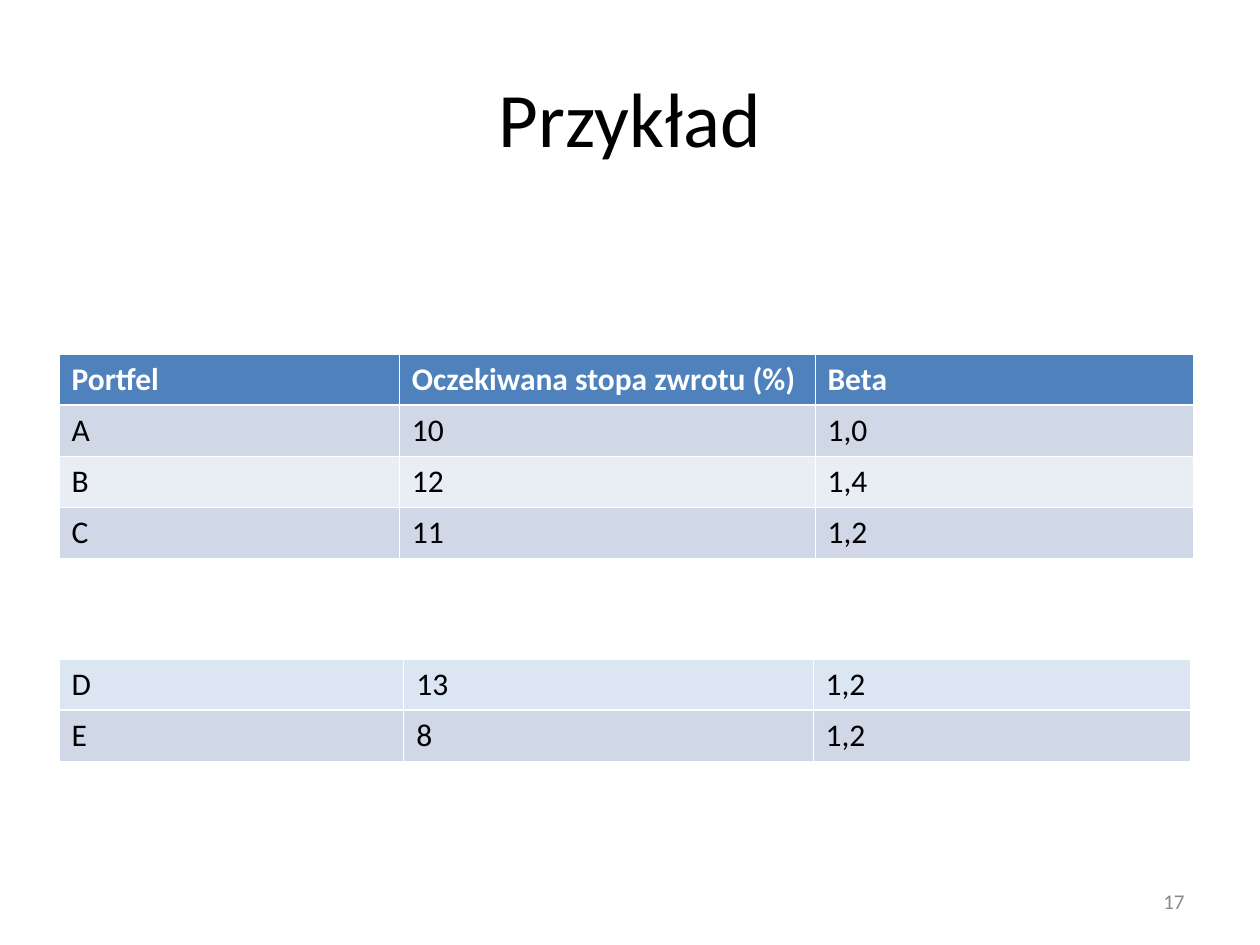
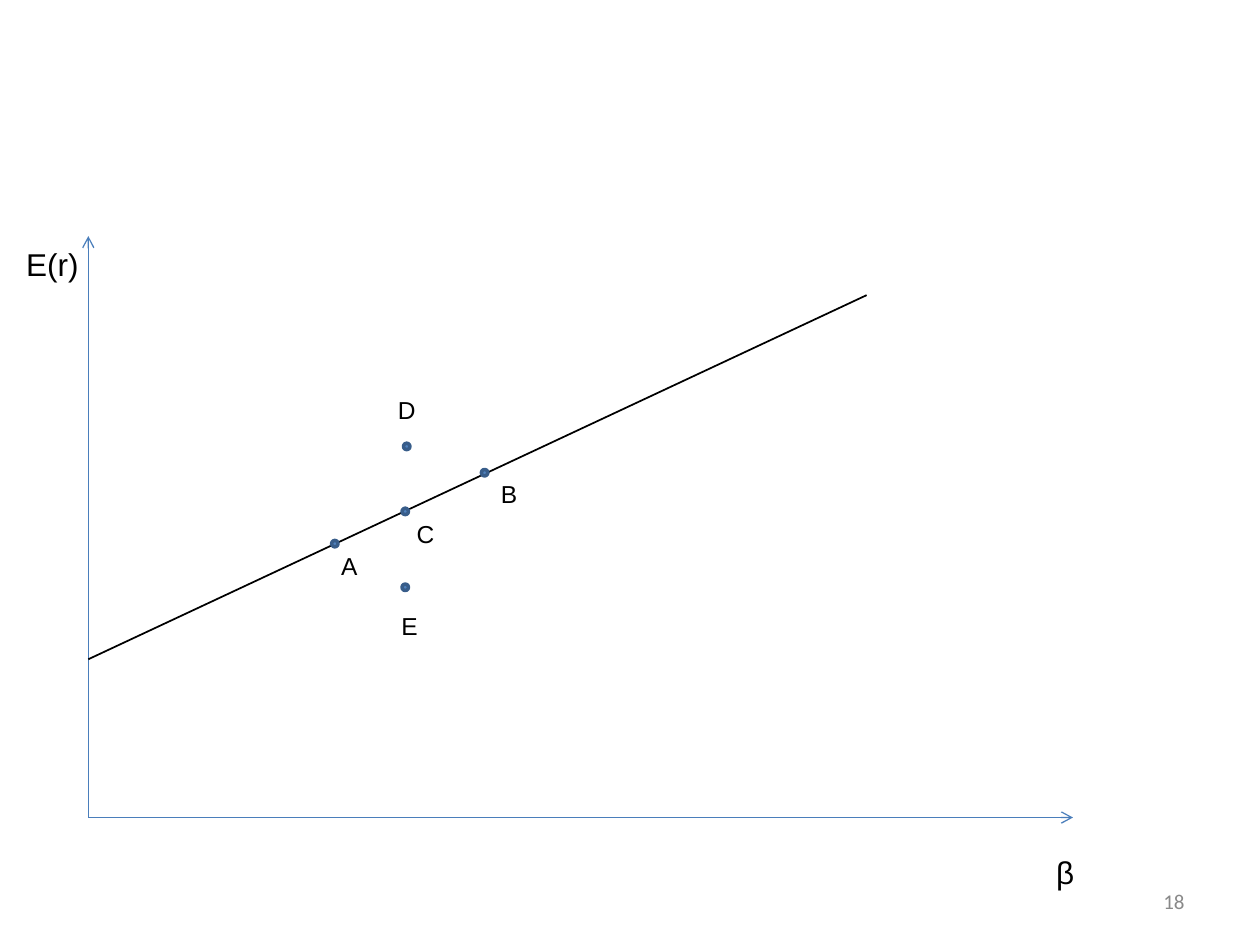
from lxml.etree import SubElement
from pptx import Presentation
from pptx.dml.color import RGBColor
from pptx.enum.shapes import MSO_CONNECTOR, MSO_SHAPE
from pptx.enum.text import MSO_ANCHOR, MSO_AUTO_SIZE, PP_ALIGN
from pptx.oxml.ns import qn
from pptx.util import Cm, Pt

COLOURS = {
    "white": "FFFFFF", "black": "000000", "grey": "898989",
    "header": "4F81BD", "band": "D0D8E8", "light": "E9EDF4", "pale": "DCE6F2",
    "axis": "4A7EBB", "rim": "385D8A",
}
FONTS = {
    "title": {"name": "Calibri", "size": Pt(44), "colour": "black"},
    "number": {"name": "Calibri", "size": Pt(12), "colour": "grey"},
    "header": {"name": "Calibri", "size": Pt(18), "bold": True, "colour": "white"},
    "cell": {"name": "Calibri", "size": Pt(18), "bold": False, "colour": "black"},
    "axis": {"name": "Arial", "size": Pt(18), "colour": "black"},
    "point": {"name": "Arial", "size": Pt(14), "colour": "black"},
}
FIXED = {"word_wrap": True, "auto_size": MSO_AUTO_SIZE.NONE, "vertical_anchor": MSO_ANCHOR.MIDDLE}
LABEL = {"word_wrap": False, "auto_size": MSO_AUTO_SIZE.SHAPE_TO_FIT_TEXT,
         "vertical_anchor": MSO_ANCHOR.TOP}

TABLES = [
    {
        "top": 7.14, "widths": (6.86, 8.38, 7.62),
        "fills": ("header", "band", "light", "band"),
        "rows": [
            ("Portfel", "Oczekiwana stopa zwrotu (%)", "Beta"),
            ("A", "10", "1,0"),
            ("B", "12", "1,4"),
            ("C", "11", "1,2"),
        ],
    },
    {
        "top": 13.29, "widths": (6.95, 8.25, 7.61),
        "fills": ("pale", "band"),
        "rows": [("D", "13", "1,2"), ("E", "8", "1,2")],
    },
]
TABLE_LEFT, ROW_HEIGHT = 1.19, 1.03
THIN, THICK = Pt(0.45), Pt(1.47)

ORIGIN = (1.78, 16.48)
LINES = [
    {"start": ORIGIN, "end": (1.78, 4.76), "colour": "axis", "width": 0.74, "arrow": True},
    {"start": ORIGIN, "end": (21.63, 16.48), "colour": "axis", "width": 0.74, "arrow": True},
    {"start": (1.78, 13.29), "end": (17.47, 5.95), "colour": "black", "width": 0.99, "arrow": False},
]
AXIS_LABELS = [("E(r)", (0.28, 4.81, 1.6, 1.02)), ("β", (21.04, 17.07, 0.86, 1.02))]
POINTS = [
    ("A", (6.75, 10.96), (6.63, 10.98)),
    ("B", (9.77, 9.53), (9.85, 9.53)),
    ("C", (8.17, 10.31), (8.15, 10.34)),
    ("D", (8.2, 9), (7.77, 7.83)),
    ("E", (8.17, 11.84), (7.84, 12.19)),
]
DOT = 0.13
LABEL_SIZE = (0.86, 0.86)


def colour(name):
    return RGBColor.from_string(COLOURS[name])


def write(frame, words, style, align=PP_ALIGN.LEFT):
    para = frame.paragraphs[0]
    para.alignment = align
    span = para.add_run()
    span.text = words
    for key, value in FONTS[style].items():
        if key == "colour":
            span.font.color.rgb = colour(value)
        else:
            setattr(span.font, key, value)


def add_text(page, words, place, style, frame_format, align=PP_ALIGN.LEFT):
    box = page.shapes.add_textbox(*map(Cm, place))
    for key, value in frame_format.items():
        setattr(box.text_frame, key, value)
    write(box.text_frame, words, style, align)


def add_page(deck, number):
    page = deck.slides.add_slide(deck.slide_layouts[6])
    add_text(page, str(number), (18.21, 17.65, 5.92, 1.02), "number", FIXED, PP_ALIGN.RIGHT)
    return page


def add_borders(cell, top, bottom):
    properties = cell._tc.get_or_add_tcPr()
    for side, width in (("L", THIN), ("R", THIN), ("T", top), ("B", bottom)):
        border = SubElement(properties, qn("a:ln" + side), w=str(width))
        fill = SubElement(border, qn("a:solidFill"))
        SubElement(fill, qn("a:srgbClr"), val=COLOURS["white"])


def add_grid(page, content):
    rows, widths = content["rows"], content["widths"]
    place = (TABLE_LEFT, content["top"], sum(widths), ROW_HEIGHT * len(rows))
    table = page.shapes.add_table(len(rows), len(widths), *map(Cm, place)).table
    for key in ("first_row", "horz_banding"):
        setattr(table, key, False)
    for column, width in zip(table.columns, widths):
        column.width = Cm(width)
    for index, (row, words, fill) in enumerate(zip(table.rows, rows, content["fills"])):
        row.height = Cm(ROW_HEIGHT)
        for cell, word in zip(row.cells, words):
            add_borders(cell, THICK if index == 1 else THIN, THICK if index == 0 else THIN)
            cell.fill.solid()
            cell.fill.fore_color.rgb = colour(fill)
            write(cell.text_frame, word, "header" if fill == "header" else "cell")


def add_line(page, line):
    connector = page.shapes.add_connector(
        MSO_CONNECTOR.STRAIGHT, *map(Cm, line["start"] + line["end"]))
    connector.line.color.rgb = colour(line["colour"])
    connector.line.width = Pt(line["width"])
    if line["arrow"]:
        SubElement(connector.line._get_or_add_ln(), qn("a:tailEnd"), type="arrow")
    SubElement(connector._element.spPr, qn("a:effectLst"))


def add_dot(page, centre):
    left, top = (value - DOT / 2 for value in centre)
    dot = page.shapes.add_shape(MSO_SHAPE.OVAL, *map(Cm, (left, top, DOT, DOT)))
    dot.shadow.inherit = False
    dot.fill.solid()
    dot.fill.fore_color.rgb = colour("header")
    dot.line.color.rgb = colour("rim")
    dot.line.width = Pt(2)


deck = Presentation()
deck.slide_width, deck.slide_height = Cm(25.4), Cm(19.05)

example = add_page(deck, 17)
add_text(example, "Przykład", (1.27, 0.76, 22.86, 3.18), "title", FIXED, PP_ALIGN.CENTER)
for content in TABLES:
    add_grid(example, content)

diagram = add_page(deck, 18)
for line in LINES:
    add_line(diagram, line)
for words, place in AXIS_LABELS:
    add_text(diagram, words, place, "axis", LABEL)
for name, centre, corner in POINTS:
    add_dot(diagram, centre)
    add_text(diagram, name, corner + LABEL_SIZE, "point", LABEL)

deck.save("out.pptx")
